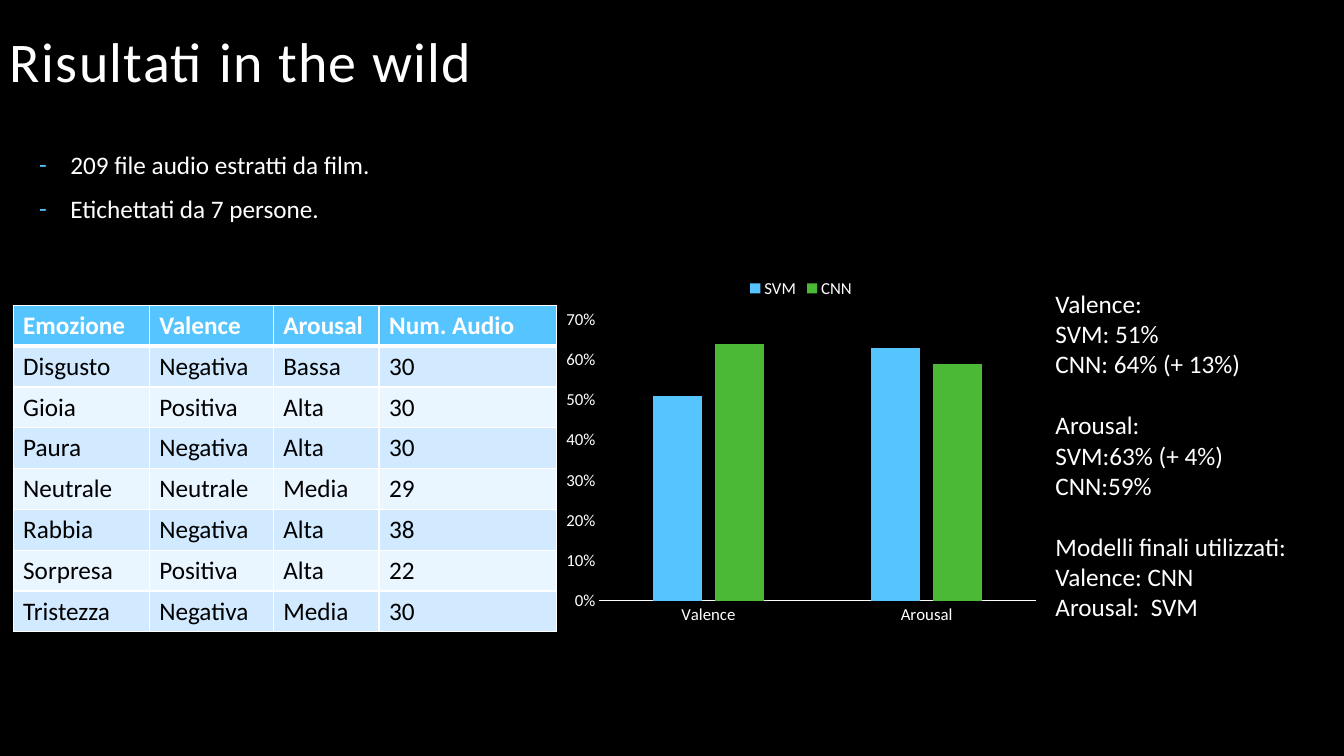
from lxml.etree import SubElement
from pptx import Presentation
from pptx.chart.data import CategoryChartData as ChartData
from pptx.dml.color import RGBColor
from pptx.enum.chart import XL_CHART_TYPE as Kind, XL_LEGEND_POSITION as Place, XL_TICK_MARK as Tick
from pptx.enum.text import MSO_ANCHOR as Anchor
from pptx.oxml.ns import qn
from pptx.util import Inches, Pt

WHITE, BLACK, BLUE, GREEN = "FFFFFF", "000000", "56C5FF", "4BB836"
BANDS = "D1EAFF", "E9F5FF"


def color(code):
    return RGBColor.from_string(code)


def fill(item, code):
    item.fill.solid()
    item.fill.fore_color.rgb = color(code)


def apply(item, values):
    for name, value in values.items():
        setattr(item, name, value)


class Deck:
    face = "Calibri"

    def __init__(self):
        self.show = Presentation()
        self.show.slide_width = Inches(13.33)
        self.show.slide_height = Inches(7.5)
        self.slide = self.show.slides.add_slide(self.show.slide_layouts[6])
        fill(self.slide.background, BLACK)

    def style(self, font, size, code=WHITE, bold=False):
        apply(font, {"name": self.face, "size": Pt(size), "bold": bold})
        font.color.rgb = color(code)

    def text(self, box, lines, size=18, anchor=Anchor.TOP, gaps=None, ratio=None, dash=False, track=0):
        frame = self.slide.shapes.add_textbox(*map(Inches, box)).text_frame
        apply(frame, {"word_wrap": True, "vertical_anchor": anchor})
        for i, line in enumerate(lines):
            par = frame.paragraphs[0] if i == 0 else frame.add_paragraph()
            run = par.add_run()
            run.text = line
            self.style(run.font, size)
            if track:
                run.font._element.set("spc", str(track))
            apply(par, {"line_spacing": ratio, "space_before": Pt((gaps or {}).get(i, 0))})
            if dash:
                self.bullet(par)

    def bullet(self, par):
        props = par._p.get_or_add_pPr()
        props.set("marL", str(Inches(0.31)))
        props.set("indent", str(-Inches(0.31)))
        SubElement(SubElement(props, qn("a:buClr")), qn("a:srgbClr"), val=BLUE)
        SubElement(props, qn("a:buFont"), typeface=self.face)
        SubElement(props, qn("a:buChar"), char="-")

    def border(self, cell, base):
        props = cell._tc.get_or_add_tcPr()
        for i, side in enumerate("LRTB"):
            width = base if side == "B" else 1
            line = SubElement(props, qn("a:ln" + side), w=str(Pt(width)))
            SubElement(SubElement(line, qn("a:solidFill")), qn("a:srgbClr"), val=WHITE)
            props.insert(i, line)

    def table(self, box, widths, rows):
        shape = self.slide.shapes.add_table(len(rows), len(widths), *map(Inches, box))
        grid = shape.table
        for col, width in zip(grid.columns, widths):
            col.width = Inches(width)
        for i, row in enumerate(rows):
            head = i == 0
            for j, word in enumerate(row):
                cell = grid.cell(i, j)
                cell.text = word
                font = cell.text_frame.paragraphs[0].runs[0].font
                self.style(font, 18, WHITE if head else BLACK, head)
                fill(cell, BLUE if head else BANDS[(i - 1) % 2])
                self.border(cell, 3 if head else 1)

    def chart(self, box, cats, series):
        data = ChartData(number_format="0%")
        data.categories = cats
        for name, values, _ in series:
            data.add_series(name, values)
        shape = self.slide.shapes.add_chart(Kind.COLUMN_CLUSTERED, *map(Inches, box), data)
        chart = shape.chart
        apply(chart, {"has_title": False, "has_legend": True})
        self.style(chart.font, 10)
        apply(chart.legend, {"position": Place.TOP, "include_in_layout": False})
        self.style(chart.legend.font, 12)
        plot = chart.plots[0]
        apply(plot, {"gap_width": 219, "overlap": -27, "vary_by_categories": False})
        for bar, (_, _, code) in zip(plot.series, series):
            fill(bar.format, code)
        across, up = chart.category_axis, chart.value_axis
        for axis in (across, up):
            apply(axis, {"major_tick_mark": Tick.NONE, "minor_tick_mark": Tick.NONE,
                         "has_major_gridlines": False})
            self.style(axis.tick_labels.font, 12)
        across.format.line.color.rgb = color(WHITE)
        across.format.line.width = Pt(0.75)
        up.format.line.fill.background()
        apply(up, {"minimum_scale": 0, "maximum_scale": 0.7, "major_unit": 0.1})
        apply(up.tick_labels, {"number_format": "0%", "number_format_is_linked": False})


def main():
    deck = Deck()
    deck.text((0, 0.44, 12.49, 0.55), ["Risultati in the wild"], 40, Anchor.BOTTOM, ratio=0.9, track=100)
    deck.text((0.29, 1.47, 12.22, 1), ["209 file audio estratti da film.", "Etichettati da 7 persone."],
              gaps={1: 12}, ratio=0.9, dash=True)
    deck.chart((5.52, 2.65, 4.85, 3.62), ["Valence", "Arousal"],
               [("SVM", (0.51, 0.63), BLUE), ("CNN", (0.64, 0.59), GREEN)])
    deck.text((10.37, 2.81, 2.68, 3.43), [
        "Valence:", "SVM: 51%", "CNN: 64% (+ 13%)",
        "Arousal:", "SVM:63% (+ 4%)", "CNN:59%",
        "Modelli finali utilizzati:", "Valence: CNN", "Arousal:  SVM",
    ], gaps={3: 22, 6: 22})
    deck.table((0.13, 3.03, 5.39, 3.24), (1.35, 1.23, 1.05, 1.76), [
        ("Emozione", "Valence", "Arousal", "Num. Audio"),
        ("Disgusto", "Negativa", "Bassa", "30"),
        ("Gioia", "Positiva", "Alta", "30"),
        ("Paura", "Negativa", "Alta", "30"),
        ("Neutrale", "Neutrale", "Media", "29"),
        ("Rabbia", "Negativa", "Alta", "38"),
        ("Sorpresa", "Positiva", "Alta", "22"),
        ("Tristezza", "Negativa", "Media", "30"),
    ])
    deck.show.save("out.pptx")


if __name__ == "__main__":
    main()
